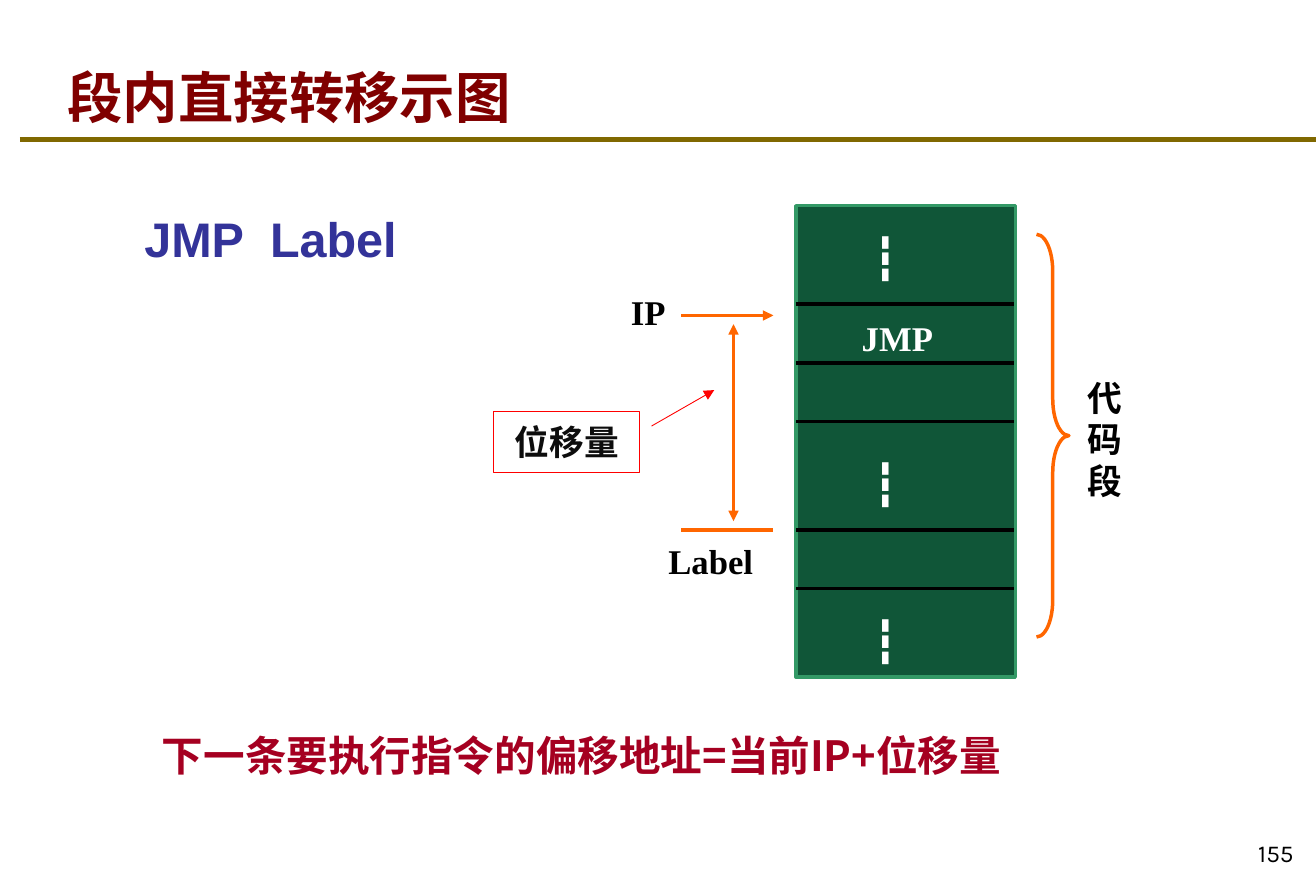
from dataclasses import dataclass

from lxml import etree
from pptx import Presentation
from pptx.dml.color import RGBColor
from pptx.enum.shapes import MSO_CONNECTOR, MSO_SHAPE
from pptx.enum.text import MSO_ANCHOR, PP_ALIGN
from pptx.oxml.ns import qn
from pptx.util import Pt

PX = 9144  # one hundredth of an inch
COLORS = {
    "rule": "806800", "title": "800000", "memory": "105638", "edge": "339966",
    "black": "000000", "white": "FFFFFF", "orange": "FF6600", "red": "FF0000",
    "dark": "0D0D0D", "formula": "A50021", "code": "333399",
}
SERIF, CJK = "Times New Roman", "Noto Sans CJK SC"


@dataclass
class Label:
    text: str
    box: tuple[int, int, int, int]
    size: int = 20
    font: str = SERIF
    color: str = "black"
    bold: bool = True
    anchor: MSO_ANCHOR = MSO_ANCHOR.TOP
    align: PP_ALIGN = PP_ALIGN.LEFT
    spacing: float = 1.0


@dataclass
class Line:
    start: tuple[int, int]
    end: tuple[int, int]
    color: str = "black"
    width: float = 2
    ends: tuple[str, ...] = ()


@dataclass
class Outline:
    preset: MSO_SHAPE
    box: tuple[int, int, int, int]
    line: str
    width: float = 2
    fill: str | None = None
    adjustments: tuple[float, ...] = ()
    ends: tuple[str, ...] = ()


def rgb(name: str) -> RGBColor:
    return RGBColor.from_string(COLORS[name])


def emu(lengths: tuple[int, ...]) -> list[int]:
    return [length * PX for length in lengths]


def style_line(shape, look: str, width: float, ends: tuple[str, ...]) -> None:
    """Set colour and width; ends names headEnd and tailEnd in that order."""
    shape.line.color.rgb = rgb(look)
    shape.line.width = Pt(width)
    for end in ends:
        etree.SubElement(shape.line._get_or_add_ln(), qn(f"a:{end}"), type="triangle")


def write(shape, label: Label) -> None:
    frame = shape.text_frame
    frame.word_wrap = True
    frame.vertical_anchor = label.anchor
    paragraph = frame.paragraphs[0]
    paragraph.alignment = label.align
    paragraph.line_spacing = label.spacing
    run = paragraph.add_run()
    run.text = label.text
    formats = {"size": Pt(label.size), "bold": label.bold, "name": label.font}
    for attribute, value in formats.items():
        setattr(run.font, attribute, value)
    run.font.color.rgb = rgb(label.color)
    etree.SubElement(run._r.get_or_add_rPr(), qn("a:ea"), typeface=label.font)


def add_label(slide, label: Label) -> None:
    write(slide.shapes.add_textbox(*emu(label.box)), label)


def add_line(slide, line: Line) -> None:
    connector = slide.shapes.add_connector(
        MSO_CONNECTOR.STRAIGHT, *emu(line.start + line.end))
    style_line(connector, line.color, line.width, line.ends)
    etree.SubElement(connector._element.spPr, qn("a:effectLst"))


def add_outline(slide, outline: Outline):
    shape = slide.shapes.add_shape(outline.preset, *emu(outline.box))
    if outline.fill:
        shape.fill.solid()
        shape.fill.fore_color.rgb = rgb(outline.fill)
    else:
        shape.fill.background()
    for index, value in enumerate(outline.adjustments):
        shape.adjustments[index] = value
    style_line(shape, outline.line, outline.width, outline.ends)
    shape.shadow.inherit = False
    return shape


MEMORY_LEFT, MEMORY_RIGHT = 638, 813
CELL = 47
JMP_TOP, LABEL_TOP = 244, 425
DIVIDERS = [JMP_TOP + CELL * row for row in range(3)] + [LABEL_TOP, LABEL_TOP + CELL]

MEMORY = Outline(MSO_SHAPE.RECTANGLE, (MEMORY_LEFT, 165, 176, 378), "edge", fill="memory")
BRACE = Outline(MSO_SHAPE.RIGHT_BRACE, (831, 188, 26, 323), "orange",
                adjustments=(1.14, 0.5))
OFFSET = Outline(MSO_SHAPE.LINE_CALLOUT_1, (396, 330, 117, 49), "red", 0.5,
                 adjustments=(0.24, 1.08, -0.35, 1.51), ends=("tailEnd",))
OFFSET_LABEL = Label("位移量", OFFSET.box, font=CJK, color="dark",
                     anchor=MSO_ANCHOR.MIDDLE, align=PP_ALIGN.CENTER)

LINES = [
    Line((16, 112), (1055, 112), "rule", 3),
    *[Line((MEMORY_LEFT, y), (MEMORY_RIGHT, y)) for y in DIVIDERS],
    Line((546, 253), (620, 253), "orange", ends=("tailEnd",)),
    Line((546, LABEL_TOP), (620, LABEL_TOP), "orange"),
    Line((588, 260), (588, 418), "orange", ends=("headEnd", "tailEnd")),
]

LABELS = [
    Label("155", (983, 654, 64, 47), 14, "Karla", bold=False,
          anchor=MSO_ANCHOR.BOTTOM, align=PP_ALIGN.RIGHT),
    Label("段内直接转移示图", (44, 34, 899, 75), 32, CJK, "title",
          anchor=MSO_ANCHOR.BOTTOM),
    Label("JMP", (681, 249, 123, 44), color="white"),
    Label("Label", (526, 428, 120, 44)),
    *[Label("┇", (690, y, 62, 50), 24, color="white") for y in (181, 362, 488)],
    Label("代码段", (862, 297, 53, 111), font=CJK),
    Label("下一条要执行指令的偏移地址=当前IP+位移量", (120, 588, 823, 42), 24, CJK,
          "formula", spacing=0.8),
    Label("JMP  Label", (106, 163, 266, 57), 28, "Arial", "code"),
    Label("IP", (496, 228, 78, 44)),
]


def main() -> None:
    deck = Presentation()
    deck.slide_width, deck.slide_height = emu((1055, 709))
    slide = deck.slides.add_slide(deck.slide_layouts[6])
    add_outline(slide, MEMORY)
    for line in LINES:
        add_line(slide, line)
    add_outline(slide, BRACE)
    write(add_outline(slide, OFFSET), OFFSET_LABEL)
    for label in LABELS:
        add_label(slide, label)
    deck.save("out.pptx")


if __name__ == "__main__":
    main()
